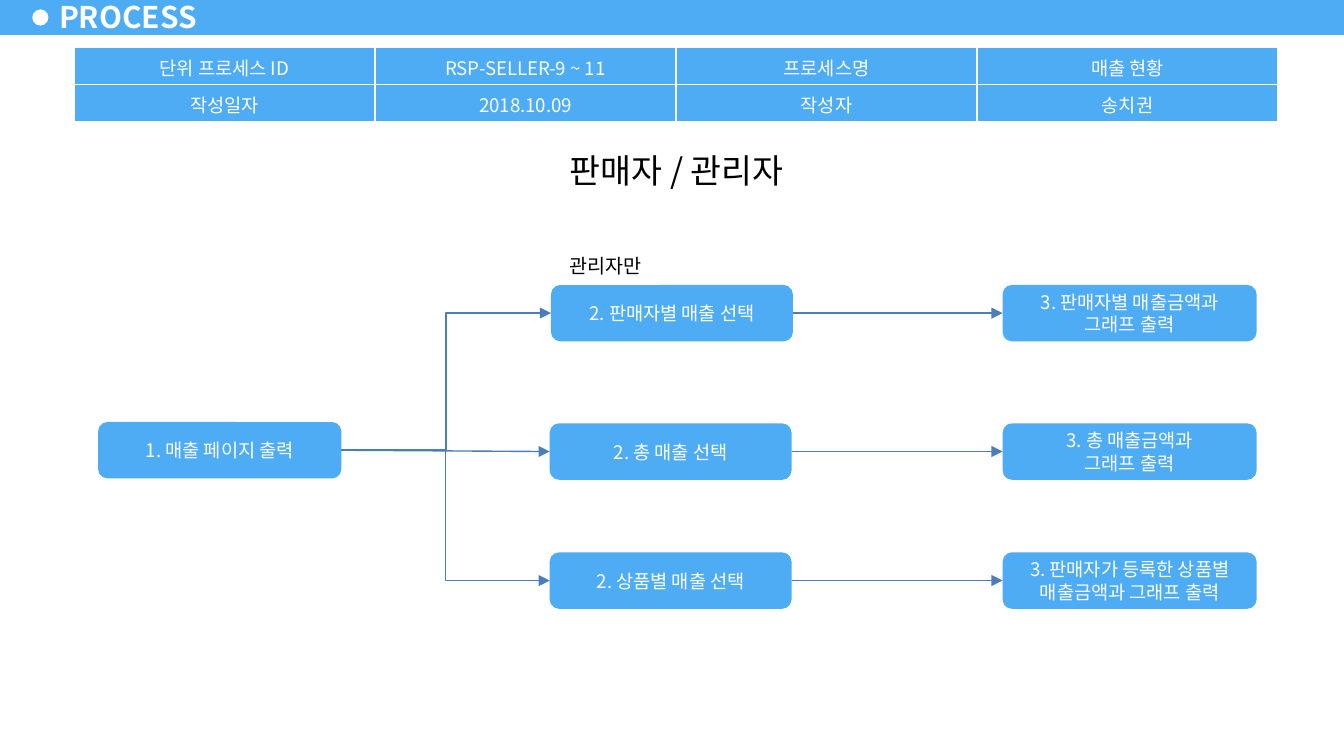
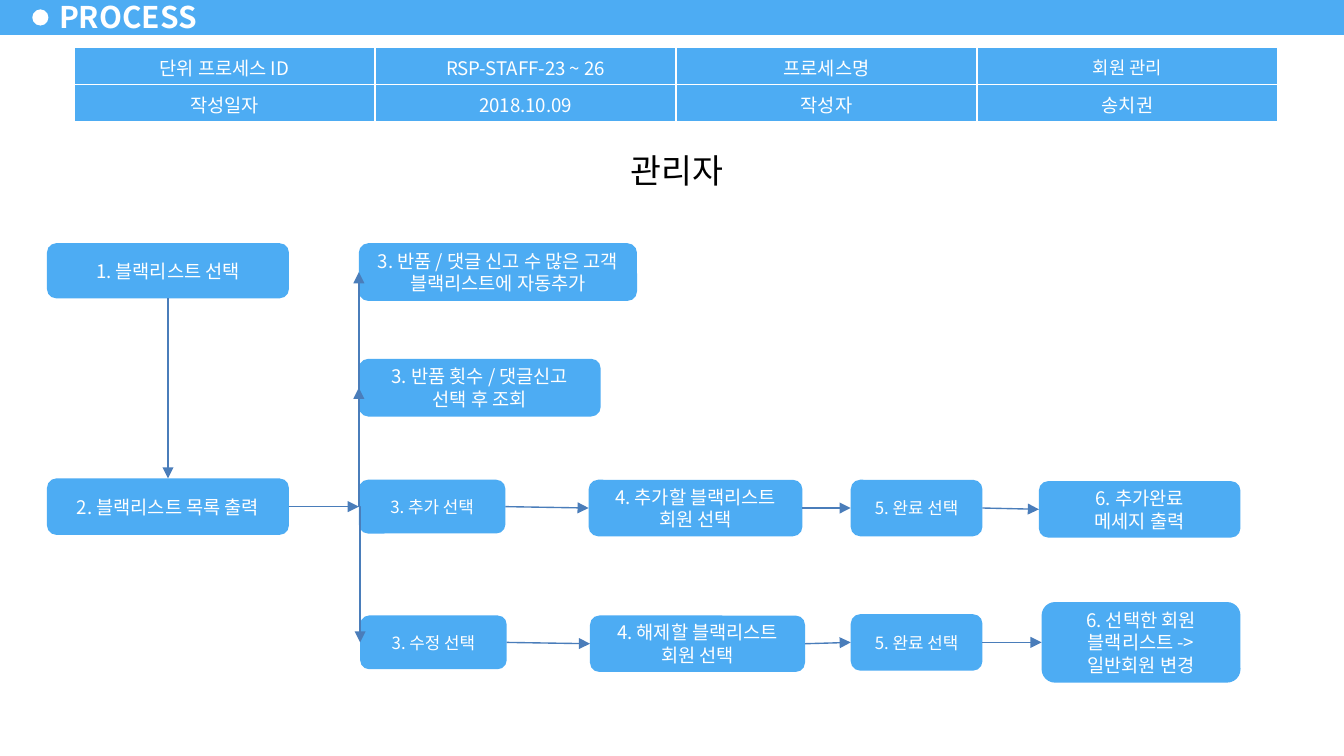
"""Build two process-flow slides with a shared band, header table and flow boxes."""
from dataclasses import dataclass
from typing import NamedTuple

from lxml.etree import SubElement
from pptx import Presentation
from pptx.dml.color import RGBColor
from pptx.enum.shapes import MSO_CONNECTOR as CONN, MSO_SHAPE as SHAPE
from pptx.enum.text import MSO_ANCHOR as ANCHOR, MSO_AUTO_SIZE as FIT, PP_ALIGN as ALIGN
from pptx.oxml.ns import qn
from pptx.util import Pt

PX = 9144
FONT = "Noto Sans CJK KR"
BLUE, WHITE, BLACK, LINE = "4DACF3", "FFFFFF", "000000", "4A7DBA"
TOP, LEFT, BOTTOM, RIGHT = range(4)


@dataclass(frozen=True)
class Box:
    text: str
    x: int
    y: int
    w: int
    h: int
    size: float = 10


class Link(NamedTuple):
    start: str
    end: str
    kind: str = "straight"
    sides: tuple[int, int] = (RIGHT, LEFT)


@dataclass(frozen=True)
class Process:
    code: str
    name: str
    name_size: float
    heading: str
    boxes: dict[str, Box]
    links: list[Link]
    labels: tuple[Box, ...] = ()


def px(*values: float) -> list[int]:
    return [round(v * PX) for v in values]


def rgb(color: str) -> RGBColor:
    return RGBColor.from_string(color)


def style(tf, size: float, color: str, align=ALIGN.CENTER, bold: bool = False) -> None:
    for p in tf.paragraphs:
        p.alignment = align
        font = p.font
        font.size, font.bold, font.name = Pt(size), bold, FONT
        font.color.rgb = rgb(color)
        SubElement(p._p.pPr.find(qn("a:defRPr")), qn("a:ea"), typeface=FONT)


def add_solid(s, kind, x: int, y: int, w: int, h: int, color: str):
    sp = s.shapes.add_shape(kind, *px(x, y, w, h))
    sp.shadow.inherit = False
    sp.fill.solid()
    sp.fill.fore_color.rgb = rgb(color)
    sp.line.fill.background()
    return sp


def add_box(s, box: Box):
    sp = add_solid(s, SHAPE.ROUNDED_RECTANGLE, box.x, box.y, box.w, box.h, BLUE)
    tf = sp.text_frame
    tf.text, tf.word_wrap, tf.vertical_anchor = box.text, True, ANCHOR.MIDDLE
    style(tf, box.size, WHITE)
    return sp


def add_label(s, box: Box) -> None:
    sp = s.shapes.add_textbox(*px(box.x, box.y, box.w, box.h))
    sp.fill.solid()
    sp.fill.fore_color.rgb = rgb(WHITE)
    tf = sp.text_frame
    tf.text, tf.word_wrap = box.text, True
    style(tf, box.size, BLACK)


def add_title(s) -> None:
    add_solid(s, SHAPE.RECTANGLE, 0, -2, 1000, 28, BLUE)
    add_solid(s, SHAPE.OVAL, 24, 7, 12, 12, WHITE)
    title = s.shapes.title
    title.left, title.top, title.width, title.height = px(35, -4, 122, 32)
    s.shapes._spTree.append(title._element)
    tf = title.text_frame
    tf.text, tf.word_wrap, tf.auto_size = "PROCESS", False, FIT.NONE
    tf.vertical_anchor = ANCHOR.MIDDLE
    tf.margin_left, tf.margin_top, tf.margin_right, tf.margin_bottom = px(9, 4, 9, 4)
    style(tf, 16, WHITE, ALIGN.LEFT, True)


def add_header(s, process: Process) -> None:
    rows = (("단위 프로세스 ID", process.code, "프로세스명", process.name),
            ("작성일자", "2018.10.09", "작성자", "송치권"))
    table = s.shapes.add_table(2, 4, *px(55, 35, 896, 56)).table
    table.first_row = table.horz_banding = False
    for i, row in enumerate(rows):
        for j, text in enumerate(row):
            cell = table.cell(i, j)
            cell.text, cell.vertical_anchor = text, ANCHOR.MIDDLE
            style(cell.text_frame, process.name_size if (i, j) == (0, 3) else 10, WHITE)
            tc_pr = cell._tc.get_or_add_tcPr()
            for side in ("lnL", "lnR", "lnT", "lnB"):
                ln = SubElement(tc_pr, qn(f"a:{side}"), w=str(Pt(1)))
                SubElement(SubElement(ln, qn("a:solidFill")), qn("a:srgbClr"), val=WHITE)
            cell.fill.solid()
            cell.fill.fore_color.rgb = rgb(BLUE)


def add_turn(s, start, end):
    """Draw an elbow that runs level from start, then upright to end."""
    x1, y1 = start.left + start.width, start.top + start.height // 2
    x2, y2 = end.left, end.top + end.height // 2
    cx, cy, reach, rise = (x1 + x2) // 2, (y1 + y2) // 2, (x2 - x1) // 2, (y1 - y2) // 2
    c = s.shapes.add_connector(CONN.ELBOW, cx - rise, cy - reach, cx + rise, cy + reach)
    sp_pr = c._element.spPr
    sp_pr.find(qn("a:xfrm")).set("rot", "16200000")
    SubElement(sp_pr.find(qn("a:prstGeom")).find(qn("a:avLst")), qn("a:gd"),
               name="adj1", fmla="val 0")
    return c


def add_link(s, link: Link, shapes: dict) -> None:
    start, end = shapes[link.start], shapes[link.end]
    if link.kind == "turn":
        c = add_turn(s, start, end)
    else:
        kind = CONN.ELBOW if link.kind == "elbow" else CONN.STRAIGHT
        c = s.shapes.add_connector(kind, 0, 0, 0, 0)
        c.begin_connect(start, link.sides[0])
        c.end_connect(end, link.sides[1])
    c.line.color.rgb = rgb(LINE)
    c.line.width = Pt(0.75)
    SubElement(c.line._get_or_add_ln(), qn("a:tailEnd"), type="triangle")
    SubElement(c._element.spPr, qn("a:effectLst"))


def add_process(prs, process: Process) -> None:
    s = prs.slides.add_slide(prs.slide_layouts[5])
    add_title(s)
    add_label(s, Box(process.heading, 325, 107, 357, 40, 18))
    add_header(s, process)
    shapes = {key: add_box(s, box) for key, box in process.boxes.items()}
    for link in process.links:
        add_link(s, link, shapes)
    for label in process.labels:
        add_label(s, label)


SALES = Process(
    "RSP-SELLER-9 ~ 11", "매출 현황", 10, "판매자 / 관리자",
    {
        "page": Box("1. 매출 페이지 출력", 73, 314, 181, 42),
        "seller": Box("2. 판매자별 매출 선택", 410, 212, 180, 42),
        "total": Box("2. 총 매출 선택", 409, 315, 180, 42),
        "goods": Box("2. 상품별 매출 선택", 409, 411, 180, 42),
        "seller_out": Box("3. 판매자별 매출금액과\n그래프 출력", 746, 212, 189, 42),
        "total_out": Box("3. 총 매출금액과\n그래프 출력", 746, 315, 189, 42),
        "goods_out": Box("3. 판매자가 등록한 상품별 매출금액과 그래프 출력", 746, 411, 189, 42),
    },
    [Link("page", "seller", "elbow"), Link("page", "goods", "elbow"), Link("page", "total"),
     *(Link(key, f"{key}_out") for key in ("seller", "total", "goods"))],
    (Box("관리자만", 410, 184, 81, 28, 10.5),),
)

ADD_STEPS = ("list", "add", "add_pick", "add_done", "add_out")
EDIT_STEPS = ("edit", "edit_pick", "edit_done", "edit_out")
MEMBERS = Process(
    "RSP-STAFF-23 ~ 26", "회원 관리", 9.5, "관리자",
    {
        "choose": Box("1. 블랙리스트 선택", 35, 181, 180, 41),
        "list": Box("2. 블랙리스트 목록 출력", 35, 356, 180, 42),
        "search": Box("3. 반품 횟수 / 댓글신고\n선택 후 조회", 267, 267, 180, 43),
        "auto": Box("3. 반품 / 댓글 신고 수 많은 고객 블랙리스트에 자동추가", 267, 181, 207, 43),
        "add": Box("3. 추가 선택", 267, 357, 109, 40, 9),
        "add_pick": Box("4. 추가할 블랙리스트\n회원 선택", 438, 357, 159, 42),
        "add_done": Box("5. 완료 선택", 633, 357, 98, 42, 9),
        "add_out": Box("6. 추가완료\n메세지 출력", 773, 358, 150, 42),
        "edit": Box("3. 수정 선택", 268, 458, 109, 40, 9),
        "edit_pick": Box("4. 해제할 블랙리스트\n회원 선택", 439, 458, 160, 42),
        "edit_done": Box("5. 완료 선택", 633, 457, 98, 42, 9),
        "edit_out": Box("6. 선택한 회원\v블랙리스트 ->\n일반회원 변경", 775, 448, 148, 60),
    },
    [Link("choose", "list", sides=(BOTTOM, TOP)),
     *(Link("list", key, "turn") for key in ("edit", "auto", "search")),
     *(Link(a, b) for steps in (ADD_STEPS, EDIT_STEPS) for a, b in zip(steps, steps[1:]))],
)


def main() -> None:
    prs = Presentation()
    prs.slide_width, prs.slide_height = px(1000, 562.5)
    for process in (SALES, MEMBERS):
        add_process(prs, process)
    prs.save("out.pptx")


if __name__ == "__main__":
    main()
